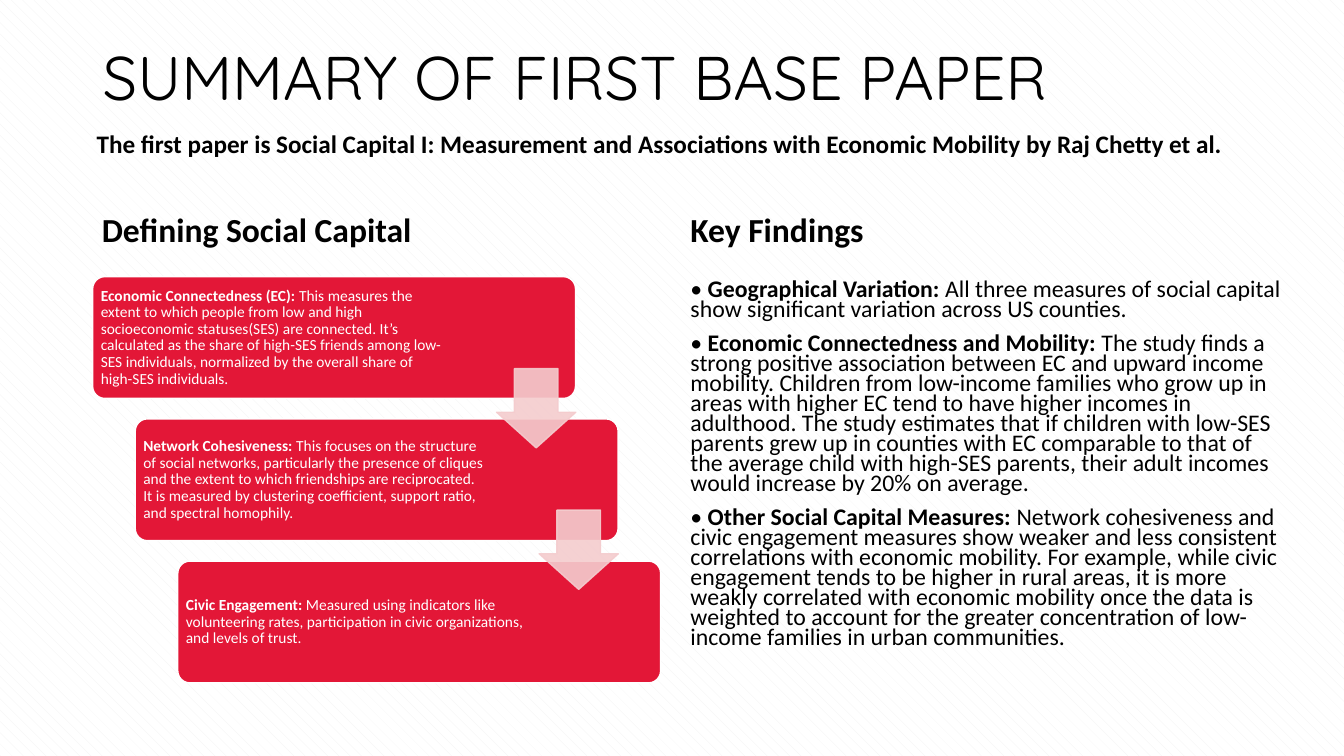
from lxml import etree
from pptx import Presentation
from pptx.dml.color import RGBColor
from pptx.enum import dml, shapes, text
from pptx.oxml.ns import qn
from pptx.util import Pt

BLACK = RGBColor(0x00, 0x00, 0x00)
WHITE = RGBColor(0xFF, 0xFF, 0xFF)
STRIPE = RGBColor(0xF2, 0xF2, 0xF2)
RED = RGBColor(0xE3, 0x17, 0x37)
PINK = RGBColor(0xF4, 0xCC, 0xCE)

TITLE = "SUMMARY OF FIRST BASE PAPER"
SUBTITLE = ("The first paper is Social Capital I: Measurement and Associations "
            "with Economic Mobility by Raj Chetty et al.")
MEASURES = [
    ("Economic Connectedness (EC): ",
     "This measures the extent to which people from low and high socioeconomic "
     "statuses(SES) are connected. It’s calculated as the share of high-SES friends "
     "among low-SES individuals, normalized by the overall share of high-SES individuals."),
    ("Network Cohesiveness: ",
     "This focuses on the structure of social networks, particularly the presence of "
     "cliques and the extent to which friendships are reciprocated. It is measured by "
     "clustering coefficient, support ratio, and spectral homophily."),
    ("Civic Engagement: ",
     "Measured using indicators like volunteering rates, participation in civic "
     "organizations, and levels of trust."),
]
FINDINGS = [
    ("Geographical Variation: ",
     "All three measures of social capital show significant variation across US counties."),
    ("Economic Connectedness and Mobility: ",
     "The study finds a strong positive association between EC and upward income mobility. "
     "Children from low-income families who grow up in areas with higher EC tend to have "
     "higher incomes in adulthood. The study estimates that if children with low-SES parents "
     "grew up in counties with EC comparable to that of the average child with high-SES "
     "parents, their adult incomes would increase by 20% on average."),
    ("Other Social Capital Measures: ",
     "Network cohesiveness and civic engagement measures show weaker and less consistent "
     "correlations with economic mobility. For example, while civic engagement tends to be "
     "higher in rural areas, it is more weakly correlated with economic mobility once the "
     "data is weighted to account for the greater concentration of low-income families in "
     "urban communities."),
]


def place(box, left, top, width, height, anchor):
    """Position a text-bearing shape and fix its frame settings."""
    box.left, box.top, box.width, box.height = Pt(left), Pt(top), Pt(width), Pt(height)
    frame = box.text_frame
    frame.word_wrap = True
    frame.auto_size = text.MSO_AUTO_SIZE.NONE
    frame.vertical_anchor = anchor
    return frame


def write(para, runs, size, color=BLACK, font="Calibri", spacing=1.0, before=0):
    """Fill an unbulleted, left-aligned paragraph from (text, bold) runs."""
    props = para._p.get_or_add_pPr()
    props.set("marL", "0")
    props.set("indent", "0")
    etree.SubElement(props, qn("a:buNone"))
    para.alignment = text.PP_ALIGN.LEFT
    para.line_spacing = spacing
    para.space_before = Pt(before)
    para.space_after = Pt(0)
    for words, bold in runs:
        span = para.add_run()
        span.text = words
        span.font.name = font
        span.font.size = Pt(size)
        span.font.bold = bold
        span.font.color.rgb = color


deck = Presentation()
deck.slide_width, deck.slide_height = Pt(960), Pt(540)
page = deck.slides.add_slide(deck.slide_layouts.get_by_name("Comparison"))
holders = {holder.placeholder_format.idx: holder for holder in page.placeholders}
unused = holders[2]._element
unused.getparent().remove(unused)

backdrop = page.background.fill
backdrop.patterned()
backdrop.pattern = dml.MSO_PATTERN.SHINGLE
backdrop.fore_color.rgb = STRIPE
backdrop.back_color.rgb = WHITE

# Title, subtitle and column headings
frame = place(holders[0], 66.2, 28.8, 828, 56.9, text.MSO_ANCHOR.MIDDLE)
write(frame.paragraphs[0], [(TITLE, False)], 44, font="Quicksand", spacing=0.9)

subtitle = page.shapes.add_textbox(0, 0, 0, 0)
frame = place(subtitle, 61.9, 87.8, 820.8, 29, text.MSO_ANCHOR.TOP)
write(frame.paragraphs[0], [(SUBTITLE, True)], 18)

for idx, heading, left, width in [(1, "Defining Social Capital", 65.5, 406),
                                  (3, "Key Findings", 486, 408)]:
    frame = place(holders[idx], left, 132.5, width, 49, text.MSO_ANCHOR.BOTTOM)
    write(frame.paragraphs[0], [(heading, True)], 24, spacing=0.8)

# Staircase of measures
STEP_X, STEP_Y = 30.4, 101.6
for step, (name, detail) in enumerate(MEASURES):
    left, top = 66.2 + step * STEP_X, 197.6 + step * STEP_Y
    card = page.shapes.add_shape(shapes.MSO_SHAPE.ROUNDED_RECTANGLE,
                                 Pt(left), Pt(top), Pt(344.9), Pt(87))
    card.adjustments[0] = 0.1
    card.shadow.inherit = False
    card.fill.solid()
    card.fill.fore_color.rgb = RED
    card.line.color.rgb = WHITE
    card.line.width = Pt(1)

    label = page.shapes.add_textbox(0, 0, 0, 0)
    frame = place(label, left + 2.5, top + 2.5, 252, 82, text.MSO_ANCHOR.MIDDLE)
    frame.margin_left = frame.margin_right = Pt(3.3)
    frame.margin_top = frame.margin_bottom = Pt(3.3)
    write(frame.paragraphs[0], [(name, True), (detail, False)], 11, WHITE, spacing=0.9)

for step in range(len(MEASURES) - 1):
    arrow = page.shapes.add_shape(shapes.MSO_SHAPE.DOWN_ARROW,
                                  Pt(354.7 + step * STEP_X), Pt(263.3 + step * STEP_Y * 0.995),
                                  Pt(56.6), Pt(56.6))
    arrow.adjustments[0], arrow.adjustments[1] = 0.55, 0.45
    arrow.shadow.inherit = False
    arrow.fill.solid()
    arrow.fill.fore_color.rgb = PINK
    arrow.line.color.rgb = PINK
    arrow.line.width = Pt(1)
    for color in arrow._element.spPr.iter(qn("a:srgbClr")):
        etree.SubElement(color, qn("a:alpha")).set("val", "90000")

# Key findings
frame = place(holders[4], 486, 197.3, 439.2, 290.2, text.MSO_ANCHOR.TOP)
for number, (name, detail) in enumerate(FINDINGS):
    para = frame.add_paragraph() if number else frame.paragraphs[0]
    write(para, [("• ", False), (name, True), (detail, False)], 17,
          spacing=0.7, before=10 if number else 0)

deck.save("out.pptx")
